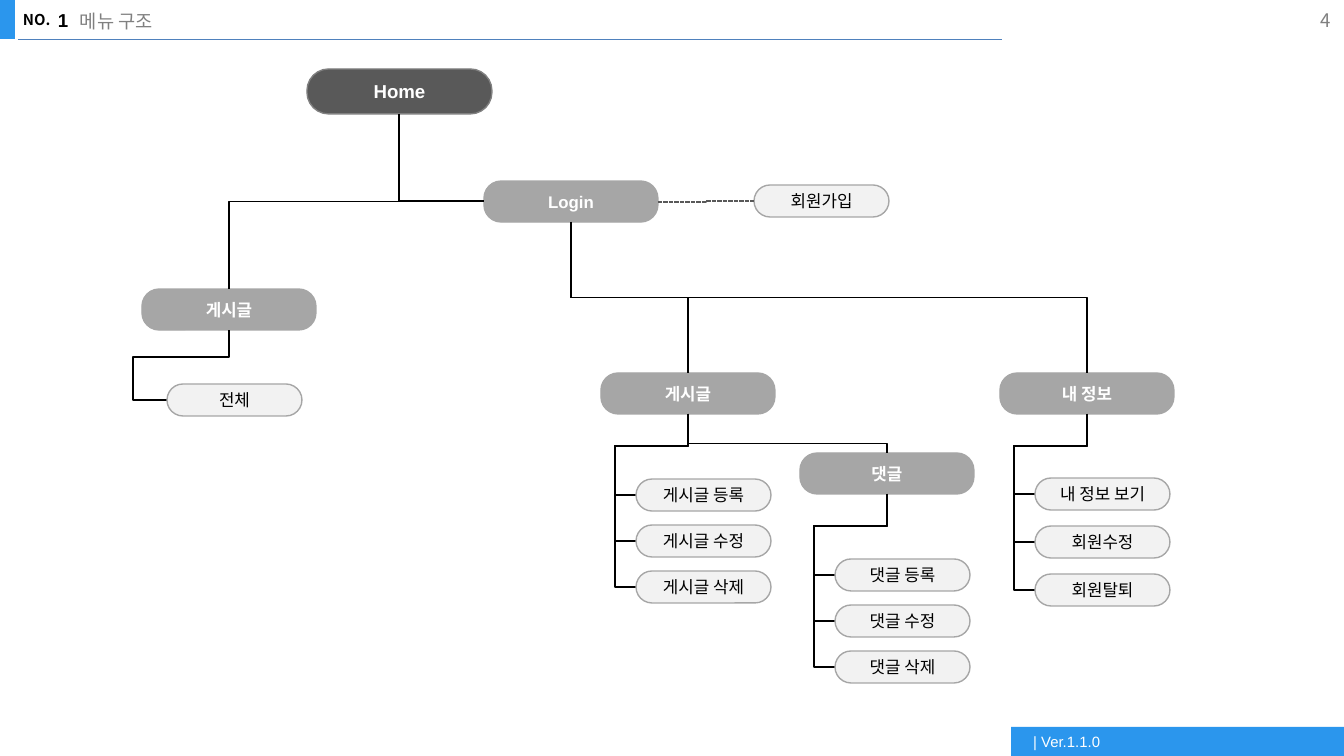
from lxml.etree import SubElement
from pptx import Presentation
from pptx.dml.color import RGBColor
from pptx.enum.dml import MSO_LINE
from pptx.enum.shapes import MSO_CONNECTOR, MSO_SHAPE
from pptx.enum.text import MSO_ANCHOR, MSO_AUTO_SIZE, PP_ALIGN
from pptx.oxml.ns import qn
from pptx.util import Emu, Pt

BLACK = RGBColor(0x00, 0x00, 0x00)
WHITE = RGBColor(0xFF, 0xFF, 0xFF)
BLUE = RGBColor(0x2B, 0x96, 0xED)
RULE_BLUE = RGBColor(0x4F, 0x81, 0xBD)
DARK = RGBColor(0x59, 0x59, 0x59)
GRAY = RGBColor(0x80, 0x80, 0x80)
MID = RGBColor(0xA6, 0xA6, 0xA6)
LIGHT = RGBColor(0xF2, 0xF2, 0xF2)
LATIN = "Arial"
KOREAN = "Noto Sans CJK KR"
SECTION_W, SECTION_H = 174, 41
ITEM_W, ITEM_H = 135, 32


def px(n):
    """Turn pixels into EMU."""
    return Emu(round(n * 914400 / 134.4))


def write(tf, text, size=9, color=BLACK, font=LATIN, bold=False, align=PP_ALIGN.LEFT,
          anchor=MSO_ANCHOR.TOP, margins=(13, 7, 13, 7), wrap=True):
    """Put one formatted paragraph into a text frame."""
    tf.word_wrap = wrap
    tf.vertical_anchor = anchor
    tf.margin_left, tf.margin_top, tf.margin_right, tf.margin_bottom = map(px, margins)
    p = tf.paragraphs[0]
    p.alignment = align
    r = p.add_run()
    r.text = text
    r.font.size = Pt(size)
    r.font.bold = bold
    r.font.color.rgb = color
    r.font.name = font
    SubElement(r.font._element, qn("a:ea"), typeface=KOREAN)


def add_text(s, text, x, y, w, h, **fmt):
    """Add a text box."""
    tf = s.shapes.add_textbox(px(x), px(y), px(w), px(h)).text_frame
    write(tf, text, **fmt)
    return tf


def add_box(s, x, y, w, h, fill, shape=MSO_SHAPE.RECTANGLE):
    """Add a filled shape without line or shadow."""
    sp = s.shapes.add_shape(shape, px(x), px(y), px(w), px(h))
    sp.shadow.inherit = False
    sp.fill.solid()
    sp.fill.fore_color.rgb = fill
    sp.line.fill.background()
    return sp


def add_node(s, text, x, y, w, h, fill, line, radius, **fmt):
    """Add a rounded menu node with centred text."""
    sp = add_box(s, x, y, w, h, fill, MSO_SHAPE.ROUNDED_RECTANGLE)
    sp.adjustments[0] = radius
    sp.line.color.rgb = line
    sp.line.width = Pt(0.75)
    write(sp.text_frame, text, align=PP_ALIGN.CENTER, anchor=MSO_ANCHOR.MIDDLE,
          margins=(3, 3, 3, 3), **fmt)


def add_section(s, text, x, y):
    """Add a section node and return the middle of its bottom edge."""
    add_node(s, text, x, y, SECTION_W, SECTION_H, MID, MID, 0.42, color=WHITE, bold=True)
    return x + SECTION_W // 2, y + SECTION_H


def add_item(s, text, x, y):
    """Add a page node."""
    add_node(s, text, x, y, ITEM_W, ITEM_H, LIGHT, MID, 0.5)


def add_line(s, kind, x1, y1, x2, y2, color=BLACK, width=0.75):
    """Add a connector without shadow."""
    c = s.shapes.add_connector(kind, px(x1), px(y1), px(x2), px(y2))
    c.line.color.rgb = color
    c.line.width = Pt(width)
    SubElement(c._element.spPr, qn("a:effectLst"))
    return c


def add_elbow(s, start, end, *adjusts):
    """Add an elbow that leaves start downwards, with one bend more per adjustment."""
    (x1, y1), (x2, y2) = start, end
    cx, cy = (x1 + x2) / 2, (y1 + y2) / 2
    half_w = (y2 - y1) / 2 if x2 > x1 else (y1 - y2) / 2
    half_h = abs(x2 - x1) / 2
    c = add_line(s, MSO_CONNECTOR.ELBOW, cx + half_w, cy - half_h, cx - half_w, cy + half_h)
    c.rotation = 270 if x2 > x1 else 90
    geom = c._element.spPr.find(qn("a:prstGeom"))
    geom.set("prst", f"bentConnector{len(adjusts) + 2}")
    guides = geom.find(qn("a:avLst"))
    if guides is None:
        guides = SubElement(geom, qn("a:avLst"))
    for i, value in enumerate(adjusts, 1):
        SubElement(guides, qn("a:gd"), name=f"adj{i}", fmla=f"val {round(value * 100000)}")


def add_branch(s, start, labels, left, top, step=46, drop=32, gap=21):
    """Stack items and join each to its section along a shared trunk."""
    x, y = start
    for i, label in enumerate(labels):
        item_y = top + i * step
        end = left, item_y + ITEM_H // 2
        add_elbow(s, start, end, drop / (end[1] - y), (x - left + gap) / (x - left))
        add_item(s, label, left, item_y)


def add_frame(s):
    """Add the header and the footer."""
    add_box(s, -1, 0, 16, 39, BLUE)
    footer = add_box(s, 1011, 727, 333, 29, BLUE)
    write(footer.text_frame, "| Ver.1.1.0", size=8, color=WHITE, anchor=MSO_ANCHOR.MIDDLE,
          margins=(22, 7, 13, 7))
    add_line(s, MSO_CONNECTOR.STRAIGHT, 18, 39, 1002, 39, RULE_BLUE, 0.5)
    tf = add_text(s, "NO.", 10, 4, 56, 32, size=8, font=KOREAN, bold=True, wrap=False)
    tf.auto_size = MSO_AUTO_SIZE.SHAPE_TO_FIT_TEXT
    add_text(s, "4", 1263, 0, 81, 40, size=10, color=GRAY, font=KOREAN,
             align=PP_ALIGN.RIGHT, anchor=MSO_ANCHOR.MIDDLE)
    add_text(s, "메뉴 구조", 67, 3, 794, 43, size=10, color=GRAY, font=KOREAN)
    add_text(s, "1", 58, 2, 148, 42, size=10, bold=True, margins=(0, 7, 0, 7))


def add_menu(s):
    """Add the menu tree."""
    add_node(s, "Home", 307, 69, 185, 45, DARK, GRAY, 0.48, size=10, color=WHITE, bold=True)
    home = 399, 114
    login = add_section(s, "Login", 484, 181)
    add_item(s, "회원가입", 754, 185)
    c = add_line(s, MSO_CONNECTOR.ELBOW, 658, 202, 754, 201, DARK)
    c.line.dash_style = MSO_LINE.SQUARE_DOT
    public = add_section(s, "게시글", 142, 289)
    posts = add_section(s, "게시글", 601, 373)
    profile = add_section(s, "내 정보", 1000, 373)
    comments = add_section(s, "댓글", 800, 453)

    add_elbow(s, home, (public[0], 289), 0.5)
    add_elbow(s, home, (484, 201))
    for section in (posts, profile):
        add_elbow(s, login, (section[0], 373), 0.5)
    add_elbow(s, posts, (comments[0], 453), 0.76)

    add_branch(s, public, ["전체"], 167, 384, drop=27, gap=34)
    add_branch(s, posts, ["게시글 등록", "게시글 수정", "게시글 삭제"], 636, 479)
    add_branch(s, comments, ["댓글 등록", "댓글 수정", "댓글 삭제"], 835, 559)
    add_branch(s, profile, ["내 정보 보기", "회원수정", "회원탈퇴"], 1035, 478, step=48)


def main():
    """Build the slide and save it."""
    prs = Presentation()
    prs.slide_width, prs.slide_height = px(1344), px(756)
    s = prs.slides.add_slide(prs.slide_layouts[6])
    add_frame(s)
    add_menu(s)
    prs.save("out.pptx")


if __name__ == "__main__":
    main()
